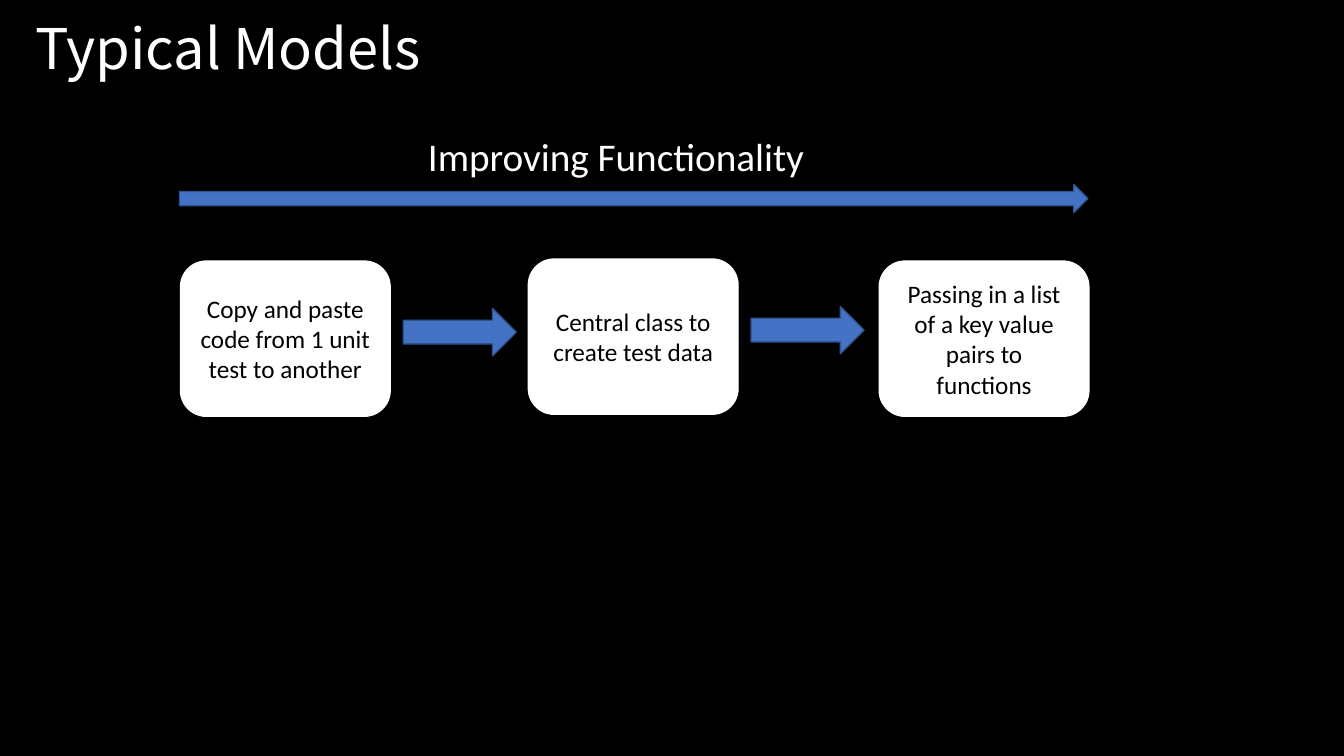
import pptx
import pptx.dml.color
import pptx.enum.shapes
import pptx.enum.text
import pptx.util

Inches = pptx.util.Inches
SHAPES = pptx.enum.shapes.MSO_SHAPE
ALIGN = pptx.enum.text.PP_ALIGN
BLACK, WHITE, BLUE, NAVY = "000000", "FFFFFF", "4472C4", "325491"
STEPS = [
    (0, 0.02, "Copy and paste code from 1 unit test to another"),
    (3.45, 0, "Central class to create test data"),
    (6.93, 0.02, "Passing in a list of a key value pairs to functions"),
]


def color(value):
    """Turn a hex string into a colour."""
    return pptx.dml.color.RGBColor.from_string(value)


def write_text(shape, text, size, font="Calibri", fill=WHITE, align=ALIGN.CENTER,
               anchor=pptx.enum.text.MSO_ANCHOR.TOP, spacing=1.0):
    """Put one formatted paragraph into a shape."""
    frame = shape.text_frame
    frame.word_wrap = True
    frame.vertical_anchor = anchor
    paragraph = frame.paragraphs[0]
    paragraph.alignment = align
    paragraph.line_spacing = spacing
    run = paragraph.add_run()
    run.text = text
    run.font.name = font
    run.font.size = pptx.util.Pt(size)
    run.font.color.rgb = color(fill)


def add_text(slide, left, top, width, height, text, size, **style):
    """Add a text box."""
    box = slide.shapes.add_textbox(Inches(left), Inches(top), Inches(width), Inches(height))
    write_text(box, text, size, **style)


def add_shape(slide, kind, left, top, width, height, fill, line):
    """Add a flat preset shape with a thin outline."""
    shape = slide.shapes.add_shape(kind, Inches(left), Inches(top), Inches(width), Inches(height))
    shape.shadow.inherit = False
    shape.fill.solid()
    shape.fill.fore_color.rgb = color(fill)
    shape.line.color.rgb = color(line)
    shape.line.width = pptx.util.Pt(1)
    return shape


def add_trend(slide, left, top, width):
    """Draw the heading and the long arrow below it."""
    add_shape(slide, SHAPES.RIGHT_ARROW, left, top + 0.57, width, 0.28, BLUE, NAVY)
    add_text(slide, left - 0.05, top, width - 0.25, 0.57, "Improving Functionality", 28)


def add_steps(slide, left, top, width, height):
    """Draw the step boxes, each but the last followed by an arrow."""
    for index, (across, down, text) in enumerate(STEPS):
        x, y = left + across, top + down
        if index < len(STEPS) - 1:
            add_shape(slide, SHAPES.RIGHT_ARROW, x + width + 0.13, y + 0.47, 1.12, 0.47, BLUE, NAVY)
        box = add_shape(slide, SHAPES.ROUNDED_RECTANGLE, x, y, width, height, WHITE, WHITE)
        write_text(box, text, 18, fill=BLACK, anchor=pptx.enum.text.MSO_ANCHOR.MIDDLE)


def main():
    """Build and save the slide."""
    presentation = pptx.Presentation()
    presentation.slide_width = Inches(13.33)
    presentation.slide_height = Inches(7.5)
    slide = presentation.slides.add_slide(presentation.slide_layouts[6])
    slide.background.fill.solid()
    slide.background.fill.fore_color.rgb = color(BLACK)
    add_text(slide, 0.25, 0.16, 7.53, 0.77, "Typical Models", 40,
             font="Noto Sans CJK JP", align=ALIGN.LEFT, spacing=0.9)
    add_trend(slide, 1.78, 1.26, 9.01)
    add_steps(slide, 1.79, 2.57, 2.08, 1.54)
    presentation.save("out.pptx")


if __name__ == "__main__":
    main()
